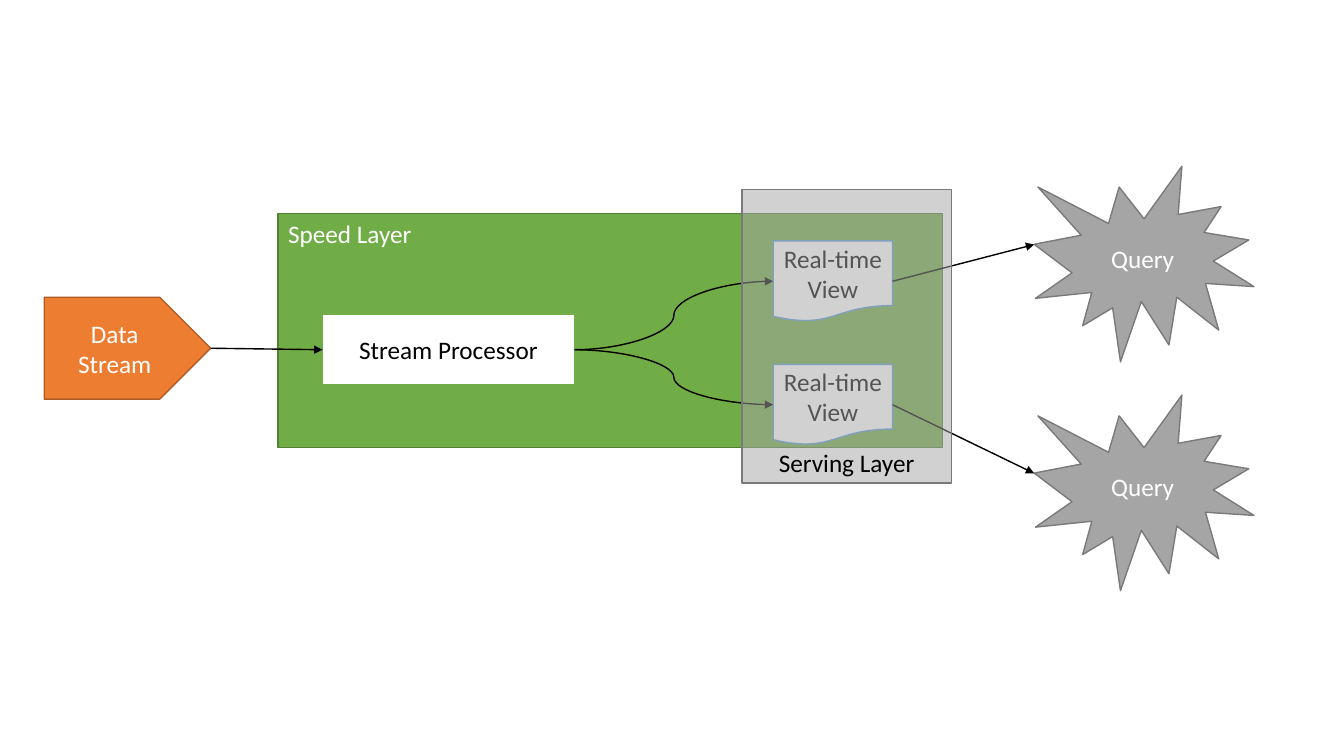
from lxml import etree
from pptx import Presentation
from pptx import util as u
from pptx.dml.color import RGBColor
from pptx.enum import shapes, text
from pptx.oxml.ns import qn

ORANGE, RUST = RGBColor(0xED, 0x7D, 0x31), RGBColor(0xAF, 0x5C, 0x24)
GREEN, MOSS = RGBColor(0x70, 0xAD, 0x47), RGBColor(0x53, 0x80, 0x35)
GRAY, SLATE = RGBColor(0xA5, 0xA5, 0xA5), RGBColor(0x7A, 0x7A, 0x7A)
BLUE = RGBColor(0x5B, 0x9B, 0xD5)
WHITE, BLACK = RGBColor(255, 255, 255), RGBColor(0, 0, 0)

KIND, LINK = shapes.MSO_SHAPE, shapes.MSO_CONNECTOR
TOP, MID, BASE = (text.MSO_ANCHOR.TOP, text.MSO_ANCHOR.MIDDLE,
                  text.MSO_ANCHOR.BOTTOM)
LEFT, CENTER = text.PP_ALIGN.LEFT, text.PP_ALIGN.CENTER

# Places are percent of the slide: left, top, width, height
VIEW_X, VIEW_W, VIEW_H = 57.53, 8.88, 10.67
VIEW_ROWS = {"view 1": 31.87, "view 2": 48.2}
QUERY_X, QUERY_W, QUERY_H = 76.95, 16.35, 25.87
QUERY_ROWS = {"query 1": 22, "query 2": 52.27}
QUERY_TIP = 0.4  # height share of the burst's left point

STYLES = {
    "data": dict(kind=KIND.PENTAGON, fill=ORANGE, edge=RUST, ink=WHITE),
    "speed": dict(kind=KIND.RECTANGLE, fill=GREEN, edge=MOSS, ink=WHITE,
                  anchor=TOP, align=LEFT),
    "process": dict(kind=KIND.RECTANGLE, fill=WHITE, edge=GREEN, ink=BLACK),
    "view": dict(kind=KIND.FLOWCHART_DOCUMENT, fill=WHITE, edge=BLUE,
                 ink=BLACK),
    "query": dict(kind=KIND.EXPLOSION1, fill=GRAY, edge=SLATE, ink=WHITE),
    "serving": dict(kind=KIND.RECTANGLE, fill=GRAY, edge=SLATE, ink=BLACK,
                    anchor=BASE, alpha=51),
}
NODES = [
    ("data", "Data Stream", (3.3, 39.33, 12.38, 13.47)),
    ("speed", "Speed Layer", (20.7, 28.27, 49.43, 30.93)),
    ("process", "Stream Processor", (24, 41.6, 18.75, 9.33)),
    *[(name, "Real-time View", (VIEW_X, row, VIEW_W, VIEW_H))
      for name, row in VIEW_ROWS.items()],
    *[(name, "Query", (QUERY_X, row, QUERY_W, QUERY_H))
      for name, row in QUERY_ROWS.items()],
]
SERVING = ("serving", "Serving Layer", (55.2, 25.07, 15.6, 38.8))
ARROWS = [
    ("process", "view 1", LINK.CURVE),
    ("process", "view 2", LINK.CURVE),
    ("data", "process", LINK.STRAIGHT),
    ("view 1", "query 1", LINK.STRAIGHT),
    ("view 2", "query 2", LINK.STRAIGHT),
]

deck = Presentation()
deck.slide_width, deck.slide_height = u.Inches(13.33), u.Inches(7.5)
slide = deck.slides.add_slide(deck.slide_layouts[6])


def add_node(name, label, place):
    style = STYLES[name.split()[0]]
    sizes = (deck.slide_width, deck.slide_height) * 2
    box = [round(part * size / 100) for part, size in zip(place, sizes)]
    node = slide.shapes.add_shape(style["kind"], *box)
    node.shadow.inherit = False
    node.fill.solid()
    node.fill.fore_color.rgb = style["fill"]
    if "alpha" in style:
        color = node.fill._xPr.find(".//" + qn("a:srgbClr"))
        etree.SubElement(color, qn("a:alpha"), val=str(style["alpha"] * 1000))
    node.line.color.rgb = style["edge"]
    node.line.width = u.Pt(1)
    frame = node.text_frame
    frame.word_wrap = True
    frame.vertical_anchor = style.get("anchor", MID)
    para = frame.paragraphs[0]
    para.alignment = style.get("align", CENTER)
    run = para.add_run()
    run.text = label
    for key, value in dict(name="Calibri", size=u.Pt(18)).items():
        setattr(run.font, key, value)
    run.font.color.rgb = style["ink"]
    return node


def add_arrow(start, end, kind):
    """Run from the right side of start to the left side or tip of end."""
    share = QUERY_TIP if end.auto_shape_type == KIND.EXPLOSION1 else 0.5
    arrow = slide.shapes.add_connector(
        kind, start.left + start.width, start.top + start.height // 2,
        end.left, end.top + round(end.height * share))
    arrow.begin_connect(start, 3)
    if share == 0.5:
        end_side = 1
        arrow.end_connect(end, end_side)
    arrow.line.color.rgb = BLACK
    arrow.line.width = u.Pt(1)
    etree.SubElement(arrow.line._get_or_add_ln(), qn("a:tailEnd"),
                     type="triangle")
    etree.SubElement(arrow._element.spPr, qn("a:effectLst"))


nodes = {node[0]: add_node(*node) for node in NODES}
for start, end, kind in ARROWS:
    add_arrow(nodes[start], nodes[end], kind)
add_node(*SERVING)
deck.save("out.pptx")
